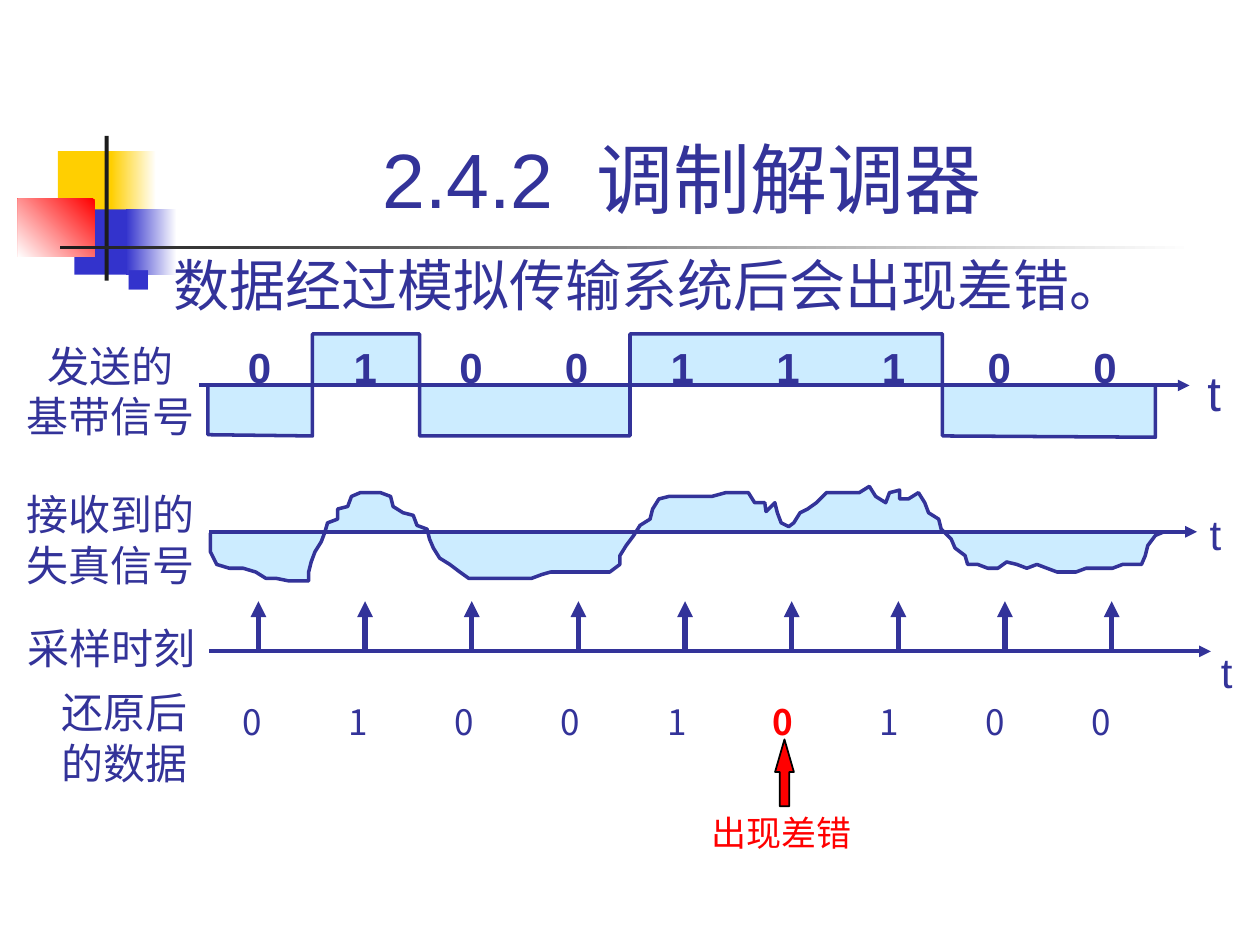
"""Build the modem slide: a baseband signal, its distortion, sampling and the recovered bits."""
from lxml.etree import SubElement
from pptx import Presentation
from pptx.dml.color import RGBColor
from pptx.enum.shapes import MSO_CONNECTOR, MSO_SHAPE
from pptx.enum.text import MSO_ANCHOR, MSO_AUTO_SIZE, PP_ALIGN
from pptx.oxml.ns import qn
from pptx.util import Cm, Pt

hue = RGBColor.from_string
NAVY, RED, WHITE, PALE = "333399", "FF0000", "FFFFFF", "CCECFF"
SANS, HAN, SERIF = "Arial", "Noto Sans CJK SC", "Times New Roman"


def write(frame, lines, size, font, color=NAVY, bold=False, align=PP_ALIGN.LEFT):
    """Write lines, each a tuple of runs, into a text frame."""
    for i, line in enumerate(lines):
        para = frame.add_paragraph() if i else frame.paragraphs[0]
        para.alignment = align
        for words in line:
            run = para.add_run()
            run.text = words
            run.font.size = Pt(size)
            run.font.name = font
            run.font.bold = bold
            run.font.color.rgb = hue(color)
            SubElement(run.font._element, qn("a:ea"), typeface=HAN)


def arrow(x1, y1, x2, y2, width):
    """Draw a straight line with an arrowhead at its end."""
    line = shapes.add_connector(MSO_CONNECTOR.STRAIGHT, Cm(x1), Cm(y1), Cm(x2), Cm(y2))
    line.line.color.rgb = hue(NAVY)
    line.line.width = Pt(width)
    SubElement(line.line._get_or_add_ln(), qn("a:tailEnd"), type="triangle")
    SubElement(line._element.spPr, qn("a:effectLst"))


deck = Presentation()
deck.slide_width, deck.slide_height = Cm(25.4), Cm(19.05)
slide = deck.slides.add_slide(deck.slide_layouts[5])
shapes = slide.shapes

blocks = [
    (1.17, 3.05, 1.22, 1.32, "FFCF01", None, 0),
    (2.24, 3.05, 0.91, 1.32, WHITE, "FFCF01", 180),
    (1.5, 4.22, 1.17, 1.32, "3333CC", None, 0),
    (2.54, 4.22, 1.02, 1.32, WHITE, "3333CC", 180),
    (0.36, 4.01, 1.55, 1.17, RED, WHITE, 225),
    (2.11, 2.74, 0.08, 2.92, "1C1C1C", None, 0),
    (1.22, 4.95, 22.86, 0.08, WHITE, "1C1C1C", 180),
]
for x, y, w, h, first, last, angle in blocks:
    block = shapes.add_shape(MSO_SHAPE.RECTANGLE, Cm(x), Cm(y), Cm(w), Cm(h))
    block.shadow.inherit = False
    block.line.fill.background()
    if last:
        block.fill.gradient()
        block.fill.gradient_angle = angle
        for stop, color in zip(block.fill.gradient_stops, (first, last)):
            stop.color.rgb = hue(color)
    else:
        block.fill.solid()
        block.fill.fore_color.rgb = hue(first)

title = shapes.title
title.left, title.top, title.width, title.height = Cm(2.93), Cm(0.58), Cm(21.64), Cm(4.06)
title.text_frame.vertical_anchor = MSO_ANCHOR.BOTTOM
write(title.text_frame, [("2.4.2", " ", "调制解调器")], 44, SANS, align=PP_ALIGN.CENTER)
title.text_frame.paragraphs[0].runs[1].font._element.set("spc", "1200")

body = shapes.add_textbox(Cm(2.29), Cm(4.93), Cm(22.2), Cm(2.01)).text_frame
body.word_wrap = True
props = body.paragraphs[0]._p.get_or_add_pPr()
props.set("marL", str(Cm(0.95)))
props.set("indent", str(Cm(-0.95)))
tint = SubElement(props, qn("a:buClr"))
SubElement(tint, qn("a:srgbClr"), val="3333CC")
SubElement(props, qn("a:buSzPct"), val="60000")
SubElement(props, qn("a:buChar"), char="■")
write(body, [("数据经过模拟传输系统后会出现差错。",)], 32, SANS)

pulse = [
    (165, 306), (165, 345), (248, 346), (248, 265), (333, 265), (333, 346),
    (500, 346), (500, 265), (748, 265), (748, 346), (917, 347), (917, 306),
]
wave = [
    (167, 423), (167, 438), (172, 448), (182, 451), (193, 451), (203, 454), (211, 459),
    (219, 459), (229, 461), (245, 461), (245, 454), (247, 446), (250, 438), (255, 430),
    (258, 422), (260, 415), (268, 412), (268, 404), (276, 402), (279, 394), (286, 391),
    (302, 391), (310, 394), (312, 402), (320, 407), (328, 409), (331, 417), (339, 420),
    (341, 428), (344, 435), (349, 443), (357, 448), (365, 454), (372, 459), (422, 459),
    (430, 456), (437, 454), (484, 454), (492, 448), (492, 441), (497, 433), (503, 425),
    (508, 417), (516, 412), (518, 404), (523, 396), (531, 394), (565, 394), (576, 391),
    (594, 391), (599, 399), (607, 399), (608, 406), (615, 399), (617, 407), (620, 415),
    (626, 418), (630, 415), (635, 407), (641, 404), (648, 399), (656, 391), (682, 391),
    (690, 386), (695, 394), (703, 399), (706, 391), (714, 389), (714, 396), (721, 396),
    (729, 391), (734, 399), (737, 407), (745, 412), (747, 420), (755, 428), (758, 435),
    (766, 441), (768, 448), (776, 448), (784, 451), (792, 451), (799, 446), (807, 448),
    (815, 451), (823, 448), (831, 451), (839, 454), (854, 454), (862, 451), (883, 451),
    (891, 448), (906, 448), (909, 441), (911, 433), (917, 425), (924, 422),
]
for points in (wave, pulse):
    path = shapes.build_freeform(*points[0], scale=Cm(2.54) / 100)
    path.add_line_segments(points[1:], close=False)
    curve = path.convert_to_shape()
    curve.shadow.inherit = False
    curve.fill.solid()
    curve.fill.fore_color.rgb = hue(PALE)
    curve.line.color.rgb = hue(NAVY)
    curve.line.width = Pt(2)

arrow(4.01, 7.77, 23.98, 7.77, 2.25)
arrow(4.22, 10.72, 24.13, 10.72, 2.25)
arrow(4.22, 13.13, 24.41, 13.13, 2.25)

labels = [
    (0.28, 6.73, 3.89, 2.29, ["发送的", "基带信号"], 24, HAN, NAVY, False),
    (0.28, 9.73, 3.89, 2.29, ["接收到的", "失真信号"], 24, HAN, NAVY, False),
    (0.3, 12.42, 3.89, 1.27, ["采样时刻"], 24, HAN, NAVY, False),
    (0.99, 13.72, 3.05, 2.29, ["还原后", "的数据"], 24, HAN, NAVY, False),
    (24.08, 7.19, 0.79, 1.42, ["t"], 28, SANS, NAVY, False),
    (24.13, 10.13, 0.74, 1.27, ["t"], 24, SANS, NAVY, False),
    (24.36, 12.9, 0.74, 1.27, ["t"], 24, SANS, NAVY, False),
    (14.1, 16.23, 3.33, 1.09, ["出现差错"], 20, SERIF, RED, False),
]
for i, (sent, got) in enumerate(zip("010011100", "010010100")):
    arrow(5.21 + 2.15 * i, 13.13, 5.21 + 2.15 * i, 12.12, 3)
    wrong = sent != got
    labels.append((4.75 + 2.13 * i, 6.76, 0.97, 1.27, [sent], 24, SANS, NAVY, True))
    labels.append((4.63 + 2.14 * i, 14, 0.91, 1.09, [got], 20, HAN, RED if wrong else NAVY, wrong))

for x, y, w, h, lines, size, font, color, bold in labels:
    frame = shapes.add_textbox(Cm(x), Cm(y), Cm(w), Cm(h)).text_frame
    frame.word_wrap = False
    frame.auto_size = MSO_AUTO_SIZE.SHAPE_TO_FIT_TEXT
    write(frame, [(line,) for line in lines], size, font, color, bold, PP_ALIGN.CENTER)

mark = shapes.add_shape(MSO_SHAPE.RIGHT_ARROW, Cm(15.14), Cm(15.39), Cm(1.35), Cm(0.38))
mark.rotation = 270
mark.adjustments[0], mark.adjustments[1] = 0.5, 1.73
mark.shadow.inherit = False
mark.fill.solid()
mark.fill.fore_color.rgb = hue(RED)
mark.line.color.rgb = hue("000000")
mark.line.width = Pt(1)

deck.save("out.pptx")
